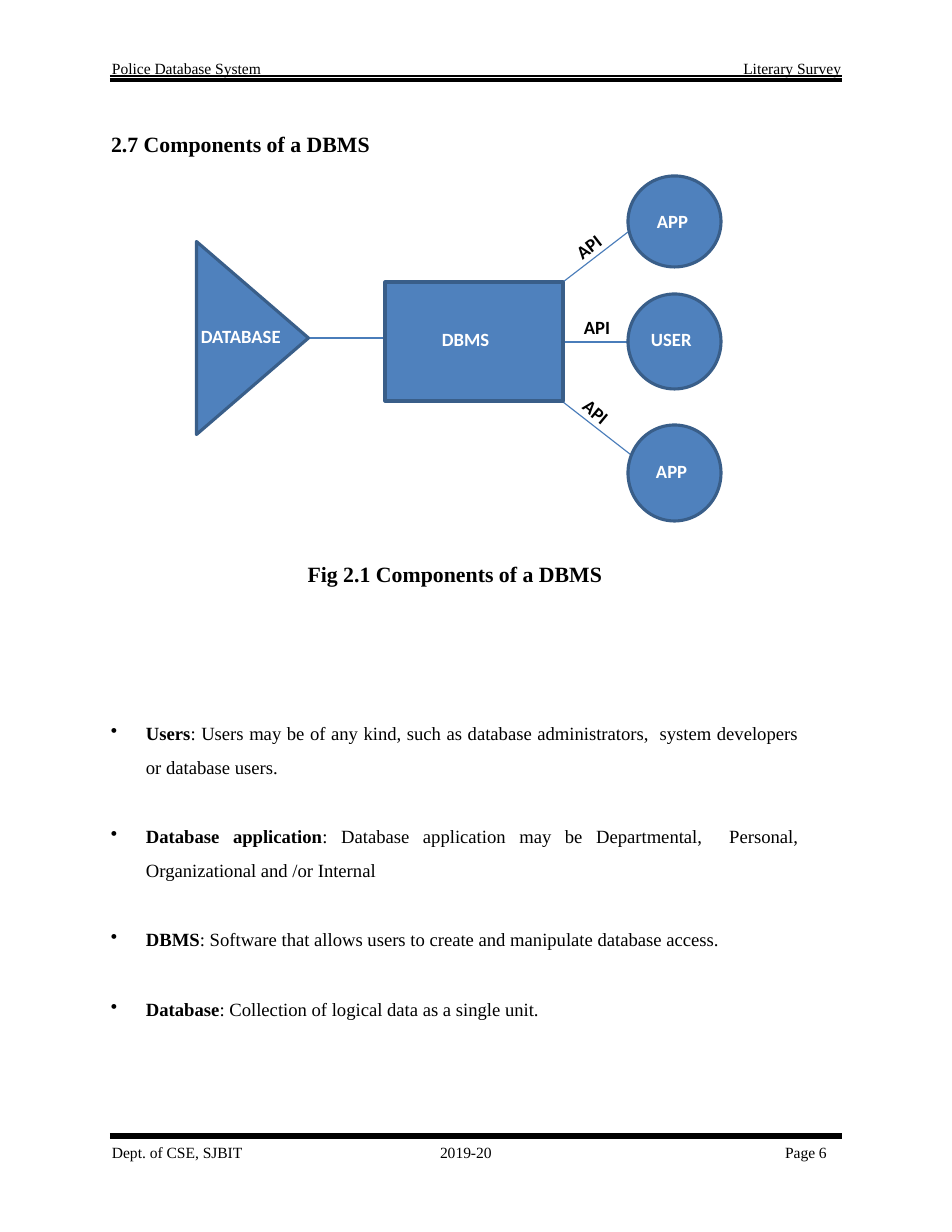
import dataclasses
import lxml.etree
import pptx
import pptx.dml.color
import pptx.enum.shapes
import pptx.enum.text
import pptx.oxml.ns
import pptx.util

SCALE = 914400 / 112  # EMU in one px
SERIF, SANS = "Times New Roman", "Calibri"
BLACK, WHITE, BLUE, EDGE, WIRE = "000000", "FFFFFF", "4F81BD", "395E89", "4A7DBA"
ALIGN = pptx.enum.text.PP_ALIGN
SHAPE = pptx.enum.shapes.MSO_SHAPE


@dataclasses.dataclass
class Label:
    text: str
    box: tuple
    color: str = WHITE
    rotation: float = 0
    wrap: bool = False


@dataclasses.dataclass
class Node:
    kind: int
    box: tuple
    rotation: float = 0


@dataclasses.dataclass
class Line:
    start: tuple
    end: tuple
    color: str = WIRE
    width: float = 0.75


@dataclasses.dataclass
class Margin:
    text: str
    box: tuple
    align: int = ALIGN.LEFT


def px(value: float) -> int:
    return round(value * SCALE)


def rgb(color: str) -> pptx.dml.color.RGBColor:
    return pptx.dml.color.RGBColor.from_string(color)


def place(shape, box: tuple) -> None:
    shape.left, shape.top, shape.width, shape.height = map(px, box)


def add_span(para, text: str, *, size=12, font=SERIF, color=BLACK, bold=False) -> None:
    span = para.add_run()
    span.text = text
    span.font.size = pptx.util.Pt(size)
    span.font.name = font
    span.font.bold = bold
    span.font.color.rgb = rgb(color)


def set_frame(shape, inset=(0, 0), wrap=True):
    frame = shape.text_frame
    frame.word_wrap = wrap
    frame.auto_size = pptx.enum.text.MSO_AUTO_SIZE.NONE
    frame.vertical_anchor = pptx.enum.text.MSO_ANCHOR.TOP
    frame.margin_left = frame.margin_right = px(inset[0])
    frame.margin_top = frame.margin_bottom = px(inset[1])
    return frame


def write(shape, text: str, *, align=ALIGN.LEFT, spacing=1.0, inset=(0, 0),
          indent=0, wrap=True, **style) -> None:
    para = set_frame(shape, inset, wrap).paragraphs[0]
    para.alignment = align
    para.line_spacing = spacing
    para._p.get_or_add_pPr().set("marL", str(px(indent)))
    add_span(para, text, **style)


def add_box(page, box: tuple):
    return page.shapes.add_textbox(*map(px, box))


def add_node(page, node: Node) -> None:
    shape = page.shapes.add_shape(node.kind, *map(px, node.box))
    shape.rotation = node.rotation
    shape.shadow.inherit = False
    shape.fill.solid()
    shape.fill.fore_color.rgb = rgb(BLUE)
    shape.line.color.rgb = rgb(EDGE)
    shape.line.width = pptx.util.Pt(2)


def add_line(page, line: Line) -> None:
    connector = page.shapes.add_connector(
        pptx.enum.shapes.MSO_CONNECTOR.STRAIGHT, *map(px, line.start + line.end))
    connector.line.color.rgb = rgb(line.color)
    connector.line.width = pptx.util.Pt(line.width)
    lxml.etree.SubElement(connector._element.spPr, pptx.oxml.ns.qn("a:effectLst"))


def add_label(page, label: Label) -> None:
    box = add_box(page, label.box)
    box.rotation = label.rotation
    write(box, label.text, inset=(11, 6), wrap=label.wrap,
          font=SANS, color=label.color, bold=True)


def add_bullets(page, box: tuple, items: list) -> None:
    frame = set_frame(add_box(page, box))
    for index, (term, meaning) in enumerate(items):
        para = frame.add_paragraph() if index else frame.paragraphs[0]
        para.alignment = ALIGN.JUSTIFY
        para.line_spacing = 1.5
        para.space_before = pptx.util.Pt(23 if index else 0)
        props = para._p.get_or_add_pPr()
        props.set("marL", str(px(36)))
        props.set("indent", str(px(-35)))
        lxml.etree.SubElement(props, pptx.oxml.ns.qn("a:buChar")).set("char", "•")
        add_span(para, term, bold=True)
        add_span(para, meaning)


MARGINS = [
    Margin("Police Database System", (111, 57, 215, 19)),
    Margin("Literary Survey", (626, 57, 215, 19), ALIGN.RIGHT),
    Margin("Dept. of CSE, SJBIT", (111, 1141, 141, 19)),
    Margin("2019-20", (439, 1141, 57, 19)),
    Margin("Page 6", (784, 1141, 60, 19)),
]
RULES = [(80, 3.1), (76, 0.82), (1135, 3.1), (1138, 0.82)]
LINES = [
    Line((308, 338), (401, 338)),
    Line((563, 282), (628, 232)),
    Line((563, 342), (637, 342)),
    Line((563, 402), (635, 458)),
]
NODES = [
    Node(SHAPE.ISOSCELES_TRIANGLE, (156, 282, 193, 112), 90),
    Node(SHAPE.RECTANGLE, (385, 282, 178, 119)),
    Node(SHAPE.OVAL, (628, 176, 93, 91)),
    Node(SHAPE.OVAL, (628, 294, 93, 95)),
    Node(SHAPE.OVAL, (628, 425, 93, 96)),
]
LABELS = [
    Label("DATABASE", (190, 319, 133, 34), wrap=True),
    Label("DBMS", (431, 322, 70, 34)),
    Label("APP", (646, 204, 54, 34)),
    Label("USER", (640, 322, 64, 34)),
    Label("APP", (645, 454, 54, 34)),
    Label("API", (564, 229, 50, 34), BLACK, 322.2),
    Label("API", (573, 310, 50, 34), BLACK),
    Label("API", (572, 395, 50, 34), BLACK, 39.7),
]
BULLETS = [
    ("Users", ": Users may be of any kind, such as database administrators,  "
              "system developers or database users."),
    ("Database application", ": Database application may be Departmental,  "
                             "Personal, Organizational and /or Internal"),
    ("DBMS", ": Software that allows users to create and manipulate database access."),
    ("Database", ": Collection of logical data as a single unit."),
]


def main() -> None:
    deck = pptx.Presentation()
    deck.slide_width, deck.slide_height = px(952), px(1232)
    page = deck.slides.add_slide(deck.slide_layouts[5])

    # Section heading
    title = page.shapes.title
    place(title, (110, 120, 732, 36))
    write(title, "2.7 Components of a DBMS", align=ALIGN.JUSTIFY, spacing=1.4,
          indent=1, size=14, bold=True)

    # Header and footer
    for margin in MARGINS:
        write(add_box(page, margin.box), margin.text, align=margin.align,
              spacing=1.08, indent=1, size=10)
    for top, width in RULES:
        add_line(page, Line((110, top), (842, top), BLACK, width))

    # Diagram: wires lie under the nodes, labels on top
    for line in LINES:
        add_line(page, line)
    for node in NODES:
        add_node(page, node)
    for label in LABELS:
        add_label(page, label)

    # Caption and definitions
    write(add_box(page, (300, 556, 310, 36)), "Fig 2.1 Components of a DBMS",
          align=ALIGN.CENTER, spacing=1.2, size=14, bold=True)
    add_bullets(page, (110, 711, 689, 311), BULLETS)

    deck.save("out.pptx")


if __name__ == "__main__":
    main()
